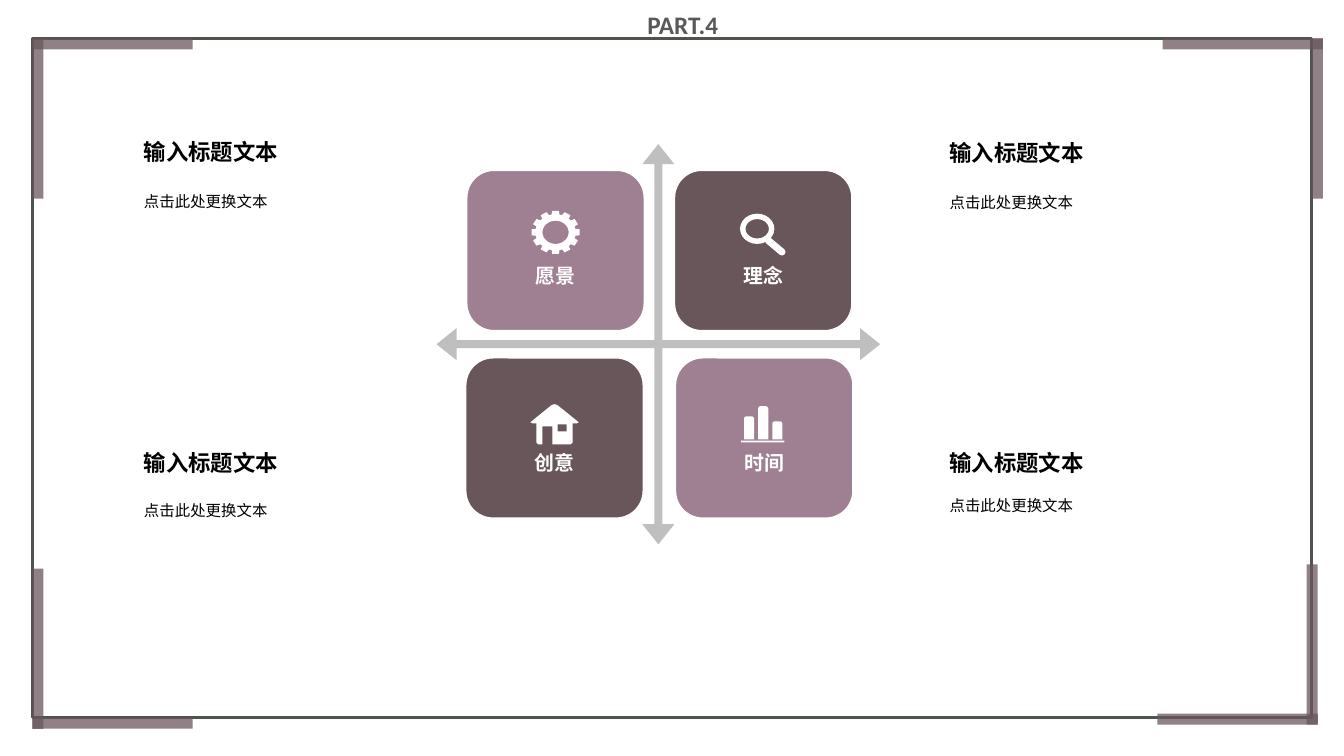
"""Build a slide of four topic tiles around a crossed arrow, with a caption in each corner."""
import math

import lxml.etree
import pptx
import pptx.dml.color
import pptx.enum.shapes
import pptx.enum.text
import pptx.oxml.ns
import pptx.util

SHAPE = pptx.enum.shapes.MSO_SHAPE
ALIGN = pptx.enum.text.PP_ALIGN
ANCHOR = pptx.enum.text.MSO_ANCHOR
INCH = pptx.util.Inches

MAUVE, PLUM, WHITE, BLACK = "9F7F92", "69565B", "FFFFFF", "000000"
PART = "PART.4"
HEADING, BODY = "输入标题文本", "点击此处更换文本"

SLIDE = (13.33, 7.5)
FRAME = (0.32, 0.38, 12.69, 6.74)
ARM, THICK = 1.59, 0.11
BRACKETS = [
    (0.32, 0.38, False, False),
    (11.53, 0.38, True, False),
    (0.32, 5.64, False, True),
    (11.48, 5.6, True, True),
]
CROSS = (4.33, 1.43, 4.4, 3.97)
TILE = (1.76, 1.59)
TILES = [
    ("愿景", 4.63, 1.69, MAUVE),
    ("理念", 6.69, 1.69, PLUM),
    ("创意", 4.62, 3.55, PLUM),
    ("时间", 6.7, 3.55, MAUVE),
]
LEFT_COLUMN, RIGHT_COLUMN = 1.33, 9.32
CAPTIONS = [
    (LEFT_COLUMN, 1.32, 1.77),
    (RIGHT_COLUMN, 1.33, 1.78),
    (LEFT_COLUMN, 4.41, 4.83),
    (RIGHT_COLUMN, 4.41, 4.78),
]
HOUSE = [
    [(5.26, 4.19), (5.47, 4.02), (5.5, 4.01), (5.53, 4.02), (5.74, 4.19), (5.72, 4.2),
     (5.68, 4.2), (5.68, 4.39), (5.66, 4.41), (5.48, 4.41), (5.48, 4.23), (5.38, 4.23),
     (5.38, 4.41), (5.34, 4.41), (5.32, 4.39), (5.32, 4.2), (5.28, 4.2)],
    [(5.62, 4.28), (5.53, 4.28), (5.53, 4.21), (5.62, 4.21)],
]
GEAR_CENTER, TEETH = (5.51, 2.305), 12
LENS = (7.34, 2.12, 0.34, 0.3)
HANDLE = (7.57, 2.41, 0.24, 0.07)
BAR_LEFT, BAR_STEP, BAR_WIDTH, BAR_BASE = 7.38, 0.14, 0.1, 4.36
BAR_HEIGHTS = [0.23, 0.33, 0.18]
BASELINE = (7.35, 4.37, 0.43, 0.02)


def rgb(code):
    """Turn a hex string into a colour."""
    return pptx.dml.color.RGBColor.from_string(code)


def paint(shape, fill=None, line=None, width=1, alpha=None):
    """Set fill, outline and opacity, without a shadow."""
    shape.shadow.inherit = False
    if fill:
        shape.fill.solid()
        shape.fill.fore_color.rgb = rgb(fill)
    else:
        shape.fill.background()
    if alpha:
        color = shape.fill._xPr.find(".//" + pptx.oxml.ns.qn("a:srgbClr"))
        lxml.etree.SubElement(color, pptx.oxml.ns.qn("a:alpha"), val=str(alpha * 1000))
    if line:
        shape.line.color.rgb = rgb(line)
        shape.line.width = pptx.util.Pt(width)
    else:
        shape.line.fill.background()
    return shape


def add(shapes, kind, box, adjust=(), **look):
    """Add a preset shape in a box given in inches."""
    shape = shapes.add_shape(kind, *map(INCH, box))
    for index, value in enumerate(adjust):
        shape.adjustments[index] = value
    return paint(shape, **look)


def outline(shapes, contours, **look):
    """Add a closed outline whose later contours are holes."""
    contours = [[(INCH(x), INCH(y)) for x, y in contour] for contour in contours]
    builder = shapes.build_freeform(*contours[0][0], scale=1.0)
    builder.add_line_segments(contours[0][1:], close=True)
    for hole in contours[1:]:
        builder.move_to(*hole[0])
        builder.add_line_segments(hole[1:], close=True)
    return paint(builder.convert_to_shape(), **look)


def write(shape, text, size, color=BLACK, bold=False, font="Calibri", align=ALIGN.LEFT,
          anchor=ANCHOR.TOP, spacing=1.0, top=0.05, bottom=0.05):
    """Put formatted text into a shape."""
    frame = shape.text_frame
    frame.auto_size = pptx.enum.text.MSO_AUTO_SIZE.NONE
    frame.word_wrap = True
    frame.vertical_anchor = anchor
    frame.margin_top, frame.margin_bottom = INCH(top), INCH(bottom)
    paragraph = frame.paragraphs[0]
    paragraph.alignment, paragraph.line_spacing = align, spacing
    run = paragraph.add_run()
    run.text = text
    run.font.size, run.font.bold, run.font.name = pptx.util.Pt(size), bold, font
    run.font.color.rgb = rgb(color)


def around(center, degrees, rx, ry):
    """Give the point of an ellipse at an angle."""
    angle = math.radians(degrees)
    return center[0] + rx * math.cos(angle), center[1] + ry * math.sin(angle)


def gear_contours():
    """Give the toothed rim and the round hole of the gear."""
    step = 360 / TEETH
    corners = [(-11, 0.2, 0.18), (-8, 0.24, 0.215), (8, 0.24, 0.215), (11, 0.2, 0.18)]
    rim = [around(GEAR_CENTER, tooth * step + turn, rx, ry)
           for tooth in range(TEETH) for turn, rx, ry in corners]
    hole = [around(GEAR_CENTER, -degrees, 0.13, 0.115) for degrees in range(0, 360, 10)]
    return [rim, hole]


def main():
    """Draw the slide and save it."""
    deck = pptx.Presentation()
    deck.slide_width, deck.slide_height = map(INCH, SLIDE)
    slide = deck.slides.add_slide(deck.slide_layouts[5])
    shapes = slide.shapes

    title = shapes.title
    title.left, title.top, title.width, title.height = map(INCH, (6.32, 0.04, 2, 0.4))
    write(title, PART, 18, color="595959", bold=True)

    add(shapes, SHAPE.RECTANGLE, FRAME, line="4C544C", width=2.5)
    for left, top, at_right, at_bottom in BRACKETS:
        inner = ARM - THICK
        add(shapes, SHAPE.RECTANGLE, (left, top + inner * at_bottom, ARM, THICK),
            fill=PLUM, alpha=74)
        add(shapes, SHAPE.RECTANGLE, (left + inner * at_right, top, THICK, ARM),
            fill=PLUM, alpha=74)

    add(shapes, SHAPE.QUAD_ARROW, CROSS, adjust=(0.02, 0.04, 0.05), fill="BFBFBF")
    for topic, left, top, color in TILES:
        tile = add(shapes, SHAPE.ROUNDED_RECTANGLE, (left, top, *TILE), adjust=(0.17,),
                   fill=color, line=WHITE)
        write(tile, topic, 14.2, color=WHITE, bold=True, font="Arial", align=ALIGN.CENTER,
              anchor=ANCHOR.MIDDLE, spacing=0.9, top=0.52, bottom=0)

    outline(shapes, gear_contours(), fill=WHITE)
    outline(shapes, HOUSE, fill=WHITE)
    add(shapes, SHAPE.DONUT, LENS, adjust=(0.18,), fill=WHITE)
    handle = add(shapes, SHAPE.ROUNDED_RECTANGLE, HANDLE, adjust=(0.5,), fill=WHITE)
    handle.rotation = 40
    for index, height in enumerate(BAR_HEIGHTS):
        bar = (BAR_LEFT + index * BAR_STEP, BAR_BASE - height, BAR_WIDTH, height)
        add(shapes, SHAPE.ROUND_2_SAME_RECTANGLE, bar, adjust=(0.25,), fill=WHITE)
    add(shapes, SHAPE.RECTANGLE, BASELINE, fill=WHITE)

    for left, heading_top, body_top in CAPTIONS:
        body = shapes.add_textbox(*map(INCH, (left, body_top, 3.76, 0.64)))
        write(body, BODY, 11, spacing=1.5)
        heading = shapes.add_textbox(*map(INCH, (left, heading_top, 3.76, 0.37)))
        write(heading, HEADING, 16, bold=True, align=ALIGN.JUSTIFY)

    deck.save("out.pptx")


if __name__ == "__main__":
    main()
